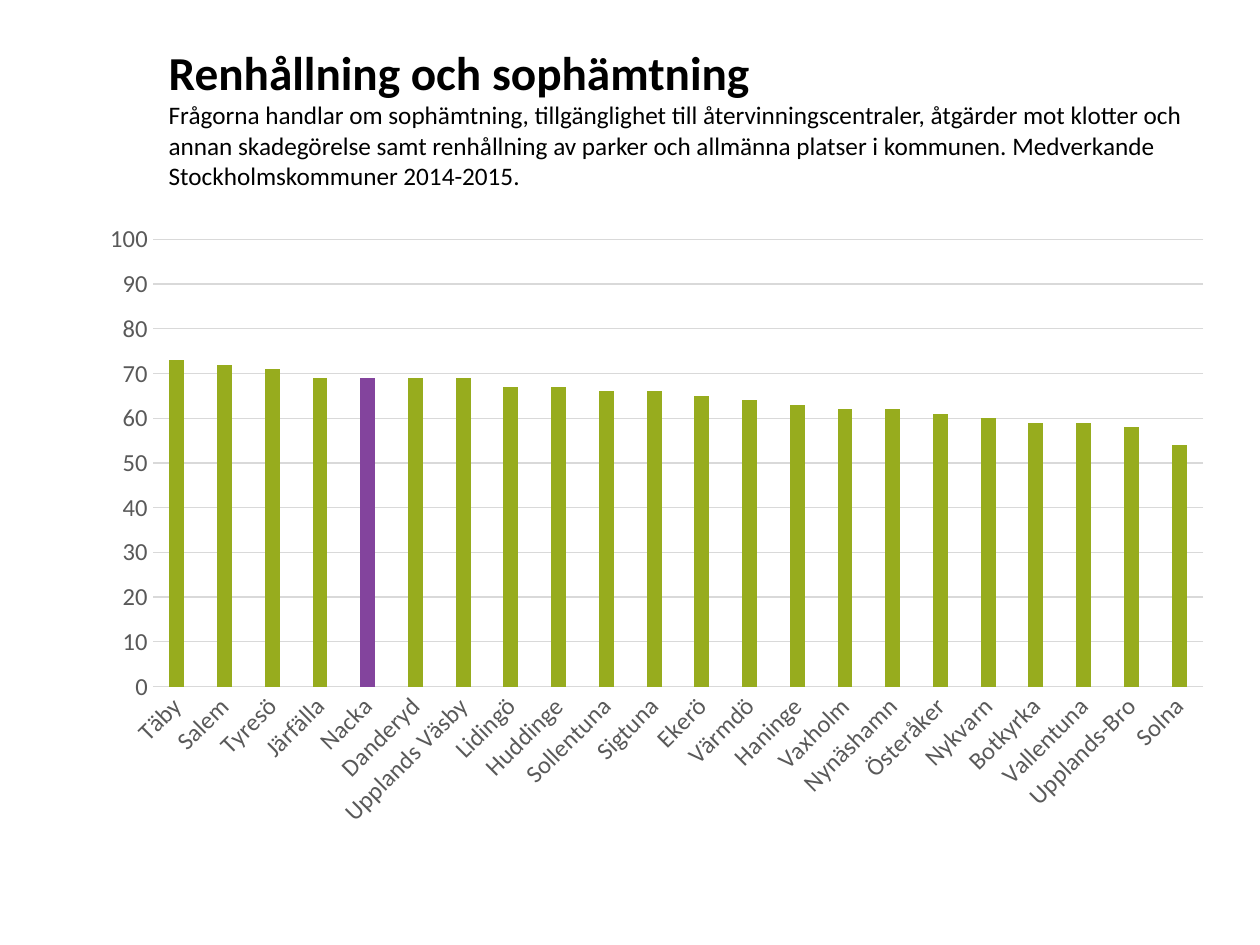
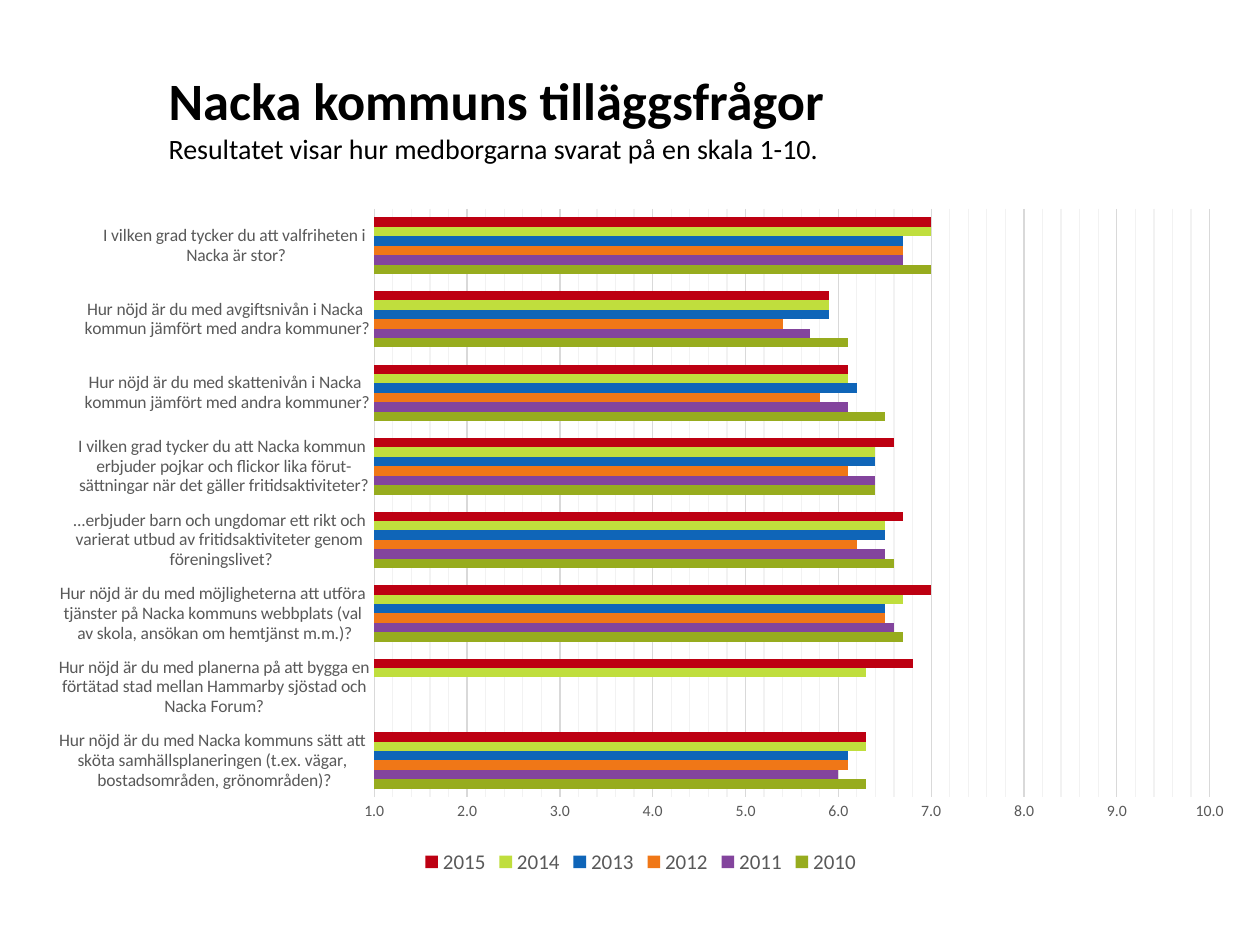
from lxml import etree
from pptx import Presentation
from pptx.chart.data import CategoryChartData
from pptx.dml.color import RGBColor
from pptx.enum.chart import XL_CHART_TYPE, XL_LEGEND_POSITION, XL_TICK_MARK
from pptx.enum.text import MSO_ANCHOR
from pptx.oxml.ns import qn
from pptx.util import Inches, Pt

COLUMN = XL_CHART_TYPE.COLUMN_CLUSTERED
BAR = XL_CHART_TYPE.BAR_CLUSTERED
LEGEND_BOTTOM = XL_LEGEND_POSITION.BOTTOM
NO_TICK = XL_TICK_MARK.NONE
MIDDLE = MSO_ANCHOR.MIDDLE

BLACK = RGBColor(0x00, 0x00, 0x00)
GREY = RGBColor(0x59, 0x59, 0x59)
GRID = RGBColor(0xD9, 0xD9, 0xD9)
FINE_GRID = RGBColor(0xF2, 0xF2, 0xF2)
OLIVE = RGBColor(0x97, 0xAC, 0x1E)
PURPLE = RGBColor(0x83, 0x44, 0x9D)
ORANGE = RGBColor(0xF0, 0x77, 0x17)
BLUE = RGBColor(0x0F, 0x65, 0xB8)
LIME = RGBColor(0xC0, 0xDE, 0x3D)
RED = RGBColor(0xBD, 0x00, 0x12)

FONT = "Calibri"
HAIRLINE = Pt(0.75)
GRID_COLUMNS, GRID_ROWS = 100, 75
HEADING_AREA = (12.4, 3, 84.9, 12.5)

MUNICIPALITIES = {
    "Täby": 73, "Salem": 72, "Tyresö": 71, "Järfälla": 69, "Nacka": 69,
    "Danderyd": 69, "Upplands Väsby": 69, "Lidingö": 67, "Huddinge": 67,
    "Sollentuna": 66, "Sigtuna": 66, "Ekerö": 65, "Värmdö": 64, "Haninge": 63,
    "Vaxholm": 62, "Nynäshamn": 62, "Österåker": 61, "Nykvarn": 60,
    "Botkyrka": 59, "Vallentuna": 59, "Upplands-Bro": 58, "Solna": 54,
}

QUESTIONS = [
    "Hur nöjd är du med Nacka kommuns sätt att \nsköta samhällsplaneringen (t.ex. vägar, \nbostadsområden, grönområden)?",
    "Hur nöjd är du med planerna på att bygga en förtätad stad mellan Hammarby sjöstad och Nacka Forum?",
    "Hur nöjd är du med möjligheterna att utföra \ntjänster på Nacka kommuns webbplats (val \nav skola, ansökan om hemtjänst m.m.)?",
    "...erbjuder barn och ungdomar ett rikt och \nvarierat utbud av fritidsaktiviteter genom \nföreningslivet?",
    "I vilken grad tycker du att Nacka kommun \nerbjuder pojkar och flickor lika förut-\nsättningar när det gäller fritidsaktiviteter?",
    "Hur nöjd är du med skattenivån i Nacka \nkommun jämfört med andra kommuner?",
    "Hur nöjd är du med avgiftsnivån i Nacka \nkommun jämfört med andra kommuner?",
    "I vilken grad tycker du att valfriheten i \nNacka är stor?",
]

YEARS = {
    "2010": (OLIVE, [6.3, None, 6.7, 6.6, 6.4, 6.5, 6.1, 7]),
    "2011": (PURPLE, [6, None, 6.6, 6.5, 6.4, 6.1, 5.7, 6.7]),
    "2012": (ORANGE, [6.1, None, 6.5, 6.2, 6.1, 5.8, 5.4, 6.7]),
    "2013": (BLUE, [6.1, None, 6.5, 6.5, 6.4, 6.2, 5.9, 6.7]),
    "2014": (LIME, [6.3, 6.3, 6.7, 6.5, 6.4, 6.1, 5.9, 7]),
    "2015": (RED, [6.3, 6.8, 7, 6.7, 6.6, 6.1, 5.9, 7]),
}


class Deck:
    def __init__(self):
        self.presentation = Presentation()
        self.presentation.slide_width = Inches(10)
        self.presentation.slide_height = Inches(7.5)
        self.slide = None

    def add_slide(self):
        self.slide = self.presentation.slides.add_slide(self.presentation.slide_layouts[6])

    def place(self, area):
        column = self.presentation.slide_width / GRID_COLUMNS
        row = self.presentation.slide_height / GRID_ROWS
        return [int(length * unit) for length, unit in zip(area, (column, row, column, row))]

    def set_font(self, font, size, color=GREY, bold=False):
        font.name = FONT
        font.size = Pt(size)
        font.color.rgb = color
        font.bold = bold

    def set_line(self, line, color):
        line.color.rgb = color
        line.width = HAIRLINE

    def heading(self, title, title_size, subtitle, subtitle_size):
        frame = self.slide.shapes.add_textbox(*self.place(HEADING_AREA)).text_frame
        frame.word_wrap = True
        frame.vertical_anchor = MIDDLE
        paragraph = frame.paragraphs[0]
        title_run = paragraph.add_run()
        title_run.text = title
        self.set_font(title_run.font, title_size, BLACK, True)
        paragraph.add_line_break()
        subtitle_run = paragraph.add_run()
        subtitle_run.text = subtitle
        self.set_font(subtitle_run.font, subtitle_size, BLACK)

    def chart(self, kind, area, categories, series, gap, overlap, plot_area):
        data = CategoryChartData()
        data.categories = categories
        for name, (_, values) in series.items():
            data.add_series(name, values)
        chart = self.slide.shapes.add_chart(kind, *self.place(area), data).chart
        self.set_font(chart.font, 10, BLACK)
        chart.has_title = False
        chart.has_legend = False
        plot = chart.plots[0]
        plot.vary_by_categories = False
        plot.gap_width = gap
        plot.overlap = overlap
        for bars, (color, _) in zip(plot.series, series.values()):
            bars.format.fill.solid()
            bars.format.fill.fore_color.rgb = color
            bars.invert_if_negative = False
        self.set_plot_area(chart, plot_area)
        return chart

    def set_plot_area(self, chart, shares):
        plot_area = chart.element.find(".//" + qn("c:plotArea"))
        layout = plot_area.find(qn("c:layout"))
        if layout is None:
            layout = etree.Element(qn("c:layout"))
            plot_area.insert(0, layout)
        manual = etree.SubElement(layout, qn("c:manualLayout"))
        settings = [("layoutTarget", "inner"), ("xMode", "edge"), ("yMode", "edge")]
        for tag, value in settings + list(zip("xywh", shares)):
            etree.SubElement(manual, qn("c:" + tag)).set("val", str(value))

    def category_axis(self, chart, size, degrees=0):
        axis = chart.category_axis
        axis.major_tick_mark = axis.minor_tick_mark = NO_TICK
        self.set_font(axis.tick_labels.font, size)
        self.set_line(axis.format.line, GRID)
        body = chart.element.find(".//" + qn("c:catAx")).find(".//" + qn("a:bodyPr"))
        body.set("rot", str(degrees * 60000))
        body.set("vert", "horz")

    def value_axis(self, chart, size, low, high, step, number_format):
        axis = chart.value_axis
        axis.minimum_scale = low
        axis.maximum_scale = high
        axis.major_unit = step
        axis.major_tick_mark = axis.minor_tick_mark = NO_TICK
        axis.format.line.fill.background()
        axis.has_major_gridlines = True
        self.set_line(axis.major_gridlines.format.line, GRID)
        self.set_font(axis.tick_labels.font, size)
        axis.tick_labels.number_format = number_format
        axis.tick_labels.number_format_is_linked = False

    def minor_gridlines(self, chart, step):
        chart.value_axis.minor_unit = step
        chart.value_axis.has_minor_gridlines = True
        gridlines = chart.element.find(".//" + qn("c:minorGridlines"))
        properties = etree.SubElement(gridlines, qn("c:spPr"))
        line = etree.SubElement(properties, qn("a:ln"), w=str(int(HAIRLINE)))
        fill = etree.SubElement(line, qn("a:solidFill"))
        etree.SubElement(fill, qn("a:srgbClr"), val=str(FINE_GRID))

    def legend(self, chart, size):
        chart.has_legend = True
        chart.legend.position = LEGEND_BOTTOM
        chart.legend.include_in_layout = False
        self.set_font(chart.legend.font, size)


def add_waste_slide(deck):
    deck.add_slide()
    deck.heading(
        "Renhållning och sophämtning", 27,
        "Frågorna handlar om sophämtning, tillgänglighet till återvinningscentraler, "
        "åtgärder mot klotter och annan skadegörelse samt renhållning av parker och "
        "allmänna platser i kommunen. Medverkande Stockholmskommuner 2014-2015.", 14.4)
    names = list(MUNICIPALITIES)
    series = {"Series 1": (OLIVE, list(MUNICIPALITIES.values()))}
    chart = deck.chart(COLUMN, (6.7, 17, 90.6, 50), names, series, 219, -27,
                       (0.06, 0.04, 0.92, 0.71))
    deck.category_axis(chart, 14, -45)
    deck.value_axis(chart, 14, 0, 100, 10, "General")
    nacka = chart.plots[0].series[0].points[names.index("Nacka")]
    nacka.format.fill.solid()
    nacka.format.fill.fore_color.rgb = PURPLE


def add_questions_slide(deck):
    deck.add_slide()
    deck.heading("Nacka kommuns tilläggsfrågor", 30,
                 "Resultatet visar hur medborgarna svarat på en skala 1-10.", 16)
    chart = deck.chart(BAR, (2.8, 15.5, 96.1, 54.3), QUESTIONS, YEARS, 182, 0,
                       (0.28, 0.02, 0.69, 0.86))
    deck.category_axis(chart, 10)
    deck.value_axis(chart, 9, 1, 10, 1, "0.0")
    deck.minor_gridlines(chart, 0.2)
    deck.legend(chart, 12)


def main():
    deck = Deck()
    add_waste_slide(deck)
    add_questions_slide(deck)
    deck.presentation.save("out.pptx")


if __name__ == "__main__":
    main()
